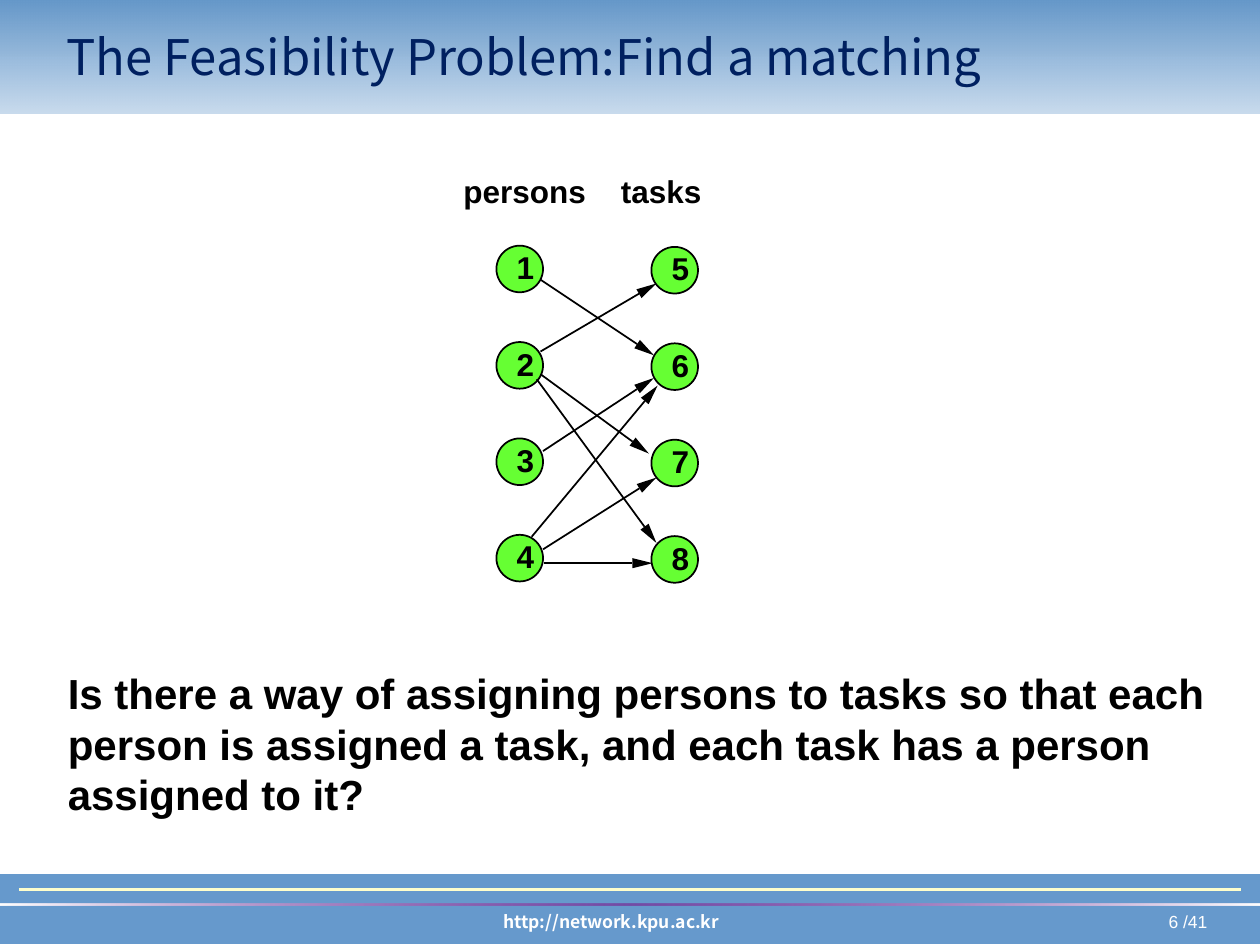
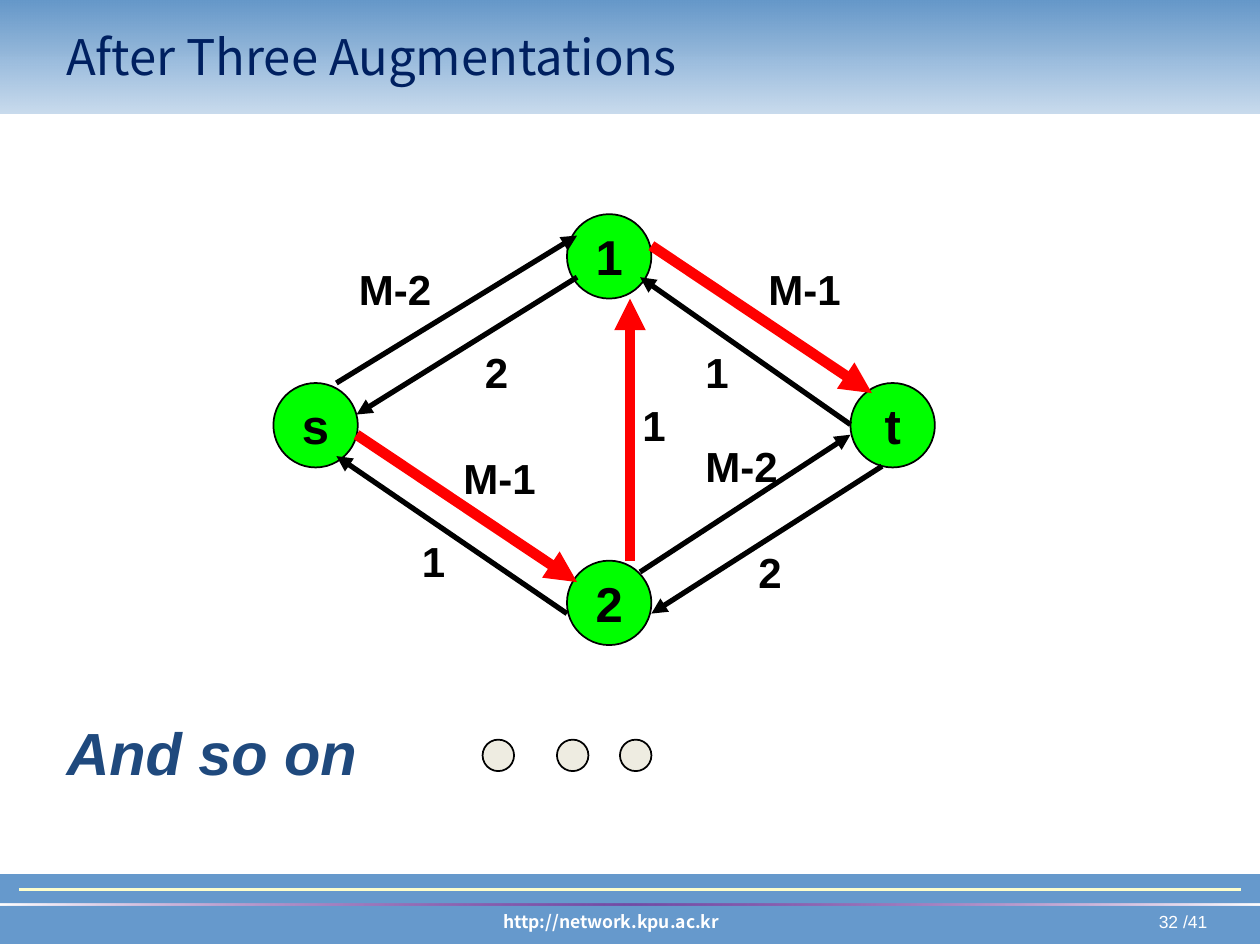
import math
import pptx
import pptx.util
import pptx.dml.color
import pptx.enum.shapes
import pptx.enum.text
import pptx.oxml
import pptx.oxml.ns

Inches = pptx.util.Inches
Pt = pptx.util.Pt
SHAPE = pptx.enum.shapes.MSO_SHAPE
ALIGN = pptx.enum.text.PP_ALIGN
ANCHOR = pptx.enum.text.MSO_ANCHOR

# Shared look
SANS, HEAD = "Arial", "Noto Sans CJK KR"
BLACK, WHITE, RED = "000000", "FFFFFF", "FF0000"
BLUE, NAVY, CREAM = "6699CC", "002060", "FFFFCC"
LIME, GREEN, SAND, INK = "66FF33", "00FF00", "EEECE1", "1F497D"
LAST = 41


def color(code):
    return pptx.dml.color.RGBColor.from_string(code)


def style(frame, words, size, code, font=SANS, bold=True, slant=False,
          align=ALIGN.LEFT, anchor=ANCHOR.TOP, wrap=True):
    """Fill a text frame with one formatted paragraph."""
    frame.text = words
    frame.word_wrap = wrap
    frame.vertical_anchor = anchor
    para = frame.paragraphs[0]
    para.alignment = align
    for run in para.runs:
        run.font.size = Pt(size)
        run.font.name = font
        run.font.bold = bold
        run.font.italic = slant
        run.font.color.rgb = color(code)
        for tag in ("a:ea", "a:cs"):
            face = run.font._element.makeelement(
                pptx.oxml.ns.qn(tag), {"typeface": font})
            run.font._element.append(face)


def label(slide, box, words, size, code=BLACK, inset=True, **look):
    text = slide.shapes.add_textbox(*map(Inches, box))
    frame = text.text_frame
    if not inset:
        frame.margin_left = frame.margin_right = 0
        frame.margin_top = frame.margin_bottom = 0
    style(frame, words, size, code, **look)


def solid(slide, kind, box, fill, edge=None, width=1):
    shape = slide.shapes.add_shape(kind, *map(Inches, box))
    shape.shadow.inherit = False
    shape.fill.solid()
    shape.fill.fore_color.rgb = color(fill)
    if edge:
        shape.line.color.rgb = color(edge)
        shape.line.width = Pt(width)
    else:
        shape.line.fill.background()
    return shape


def blend(slide, box, stops, angle):
    """Draw a gradient band; each stop is (place, colour, opacity)."""
    shape = solid(slide, SHAPE.RECTANGLE, box, WHITE)
    marks = "".join(
        f'<a:gs pos="{place * 1000}"><a:srgbClr val="{code}">'
        f'<a:alpha val="{alpha * 1000}"/></a:srgbClr></a:gs>'
        for place, code, alpha in stops)
    grad = pptx.oxml.parse_xml(
        f'<a:gradFill {pptx.oxml.ns.nsdecls("a")} rotWithShape="1">'
        f'<a:gsLst>{marks}</a:gsLst>'
        f'<a:lin ang="{angle * 60000}" scaled="0"/></a:gradFill>')
    props = shape._element.spPr
    props.replace(props.find(pptx.oxml.ns.qn("a:solidFill")), grad)


def link(slide, start, end, code=BLACK, width=1, arrow=False):
    line = slide.shapes.add_connector(
        pptx.enum.shapes.MSO_CONNECTOR.STRAIGHT,
        *map(Inches, (*start, *end)))
    line.line.color.rgb = color(code)
    line.line.width = Pt(width)
    space = pptx.oxml.ns.nsdecls("a")
    if arrow:
        line.line._get_or_add_ln().append(
            pptx.oxml.parse_xml(f'<a:tailEnd {space} type="triangle"/>'))
    line._element.spPr.append(pptx.oxml.parse_xml(f"<a:effectLst {space}/>"))


def dart(slide, start, tip, size=0.16, half=0.04):
    """Draw a thin line that ends in a long filled head."""
    angle = math.atan2(tip[1] - start[1], tip[0] - start[0])
    ux, uy = math.cos(angle), math.sin(angle)
    base = tip[0] - size * ux, tip[1] - size * uy
    link(slide, start, base)
    wings = [(base[0] - side * uy, base[1] + side * ux)
             for side in (half, -half)]
    pen = slide.shapes.build_freeform(
        *map(Inches, tip), scale=1.0)
    pen.add_line_segments([(Inches(x), Inches(y)) for x, y in wings])
    head = pen.convert_to_shape()
    head.shadow.inherit = False
    head.fill.solid()
    head.fill.fore_color.rgb = color(BLACK)
    head.line.fill.background()


def frame(deck, title, page):
    """Start a slide with the bands, footer and title."""
    slide = deck.slides.add_slide(deck.slide_layouts[6])
    solid(slide, SHAPE.RECTANGLE, (0, 6.94, 10, 0.55), BLUE, BLUE, 0.75)
    label(slide, (7.42, 7.18, 2.26, 0.27), f"{page} /{LAST}", 10, WHITE,
          bold=False, align=ALIGN.RIGHT)
    label(slide, (2.27, 7.18, 5.16, 0.27), "http://network.kpu.ac.kr", 10,
          WHITE, font=HEAD, align=ALIGN.CENTER)
    link(slide, (0.15, 7.06), (9.85, 7.06), CREAM, 1.5)
    blend(slide, (0, 0, 10, 0.9), [(0, BLUE, 35), (100, "6497C9", 100)], 270)
    blend(slide, (0, 7.17, 10, 0.02),
          [(0, WHITE, 100), (50, "800080", 50), (100, WHITE, 100)], 0)
    label(slide, (0.43, 0.05, 9.29, 0.79), title, 28, NAVY, font=HEAD,
          bold=False, anchor=ANCHOR.MIDDLE)
    return slide


def match(deck):
    slide = frame(deck, "The Feasibility Problem:Find a matching", 6)
    label(slide, (0.44, 5.25, 9.33, 1.3),
          "Is there a way of assigning persons to tasks so that each person "
          "is assigned a task, and each task has a person assigned to it?", 24)

    # Two columns of nodes
    columns = [("persons", 3.58, 1.25, 3.94, 1.95),
               ("tasks", 4.83, 1.08, 5.17, 1.96)]
    for col, (name, left, width, x, top) in enumerate(columns):
        label(slide, (left, 1.32, width, 0.4), name, 18)
        for row in range(4):
            y = top + 0.765 * row
            solid(slide, SHAPE.OVAL, (x, y, 0.37, 0.37), LIME, BLACK)
            label(slide, (x + 0.16, y + 0.02, 0.14, 0.3),
                  str(4 * col + row + 1), 18, inset=False, wrap=False)

    # Allowed pairs
    for start, tip in [((4.29, 2.22), (5.19, 2.82)),
                       ((4.29, 2.97), (5.15, 3.6)),
                       ((4.26, 3.01), (5.21, 4.31)),
                       ((4.22, 4.26), (5.22, 3.06)),
                       ((4.31, 4.36), (5.21, 3.79)),
                       ((4.29, 2.79), (5.21, 2.25)),
                       ((4.31, 3.58), (5.19, 3)),
                       ((4.32, 4.47), (5.18, 4.47))]:
        dart(slide, start, tip)


def augment(deck):
    slide = frame(deck, "After Three Augmentations", 32)

    # Nodes
    for name, x, y in [("s", 2.17, 3.04), ("1", 4.5, 1.7),
                       ("2", 4.5, 4.45), ("t", 6.75, 3.04)]:
        node = solid(slide, SHAPE.OVAL, (x, y, 0.67, 0.67), GREEN, BLACK)
        style(node.text_frame, name, 28, BLACK, align=ALIGN.CENTER,
              anchor=ANCHOR.MIDDLE, wrap=False)

    # Residual arcs, then the path in red
    thin = [((2.67, 3.04), (4.58, 1.87)), ((5.08, 4.54), (6.75, 3.45)),
            ((7, 3.7), (5.17, 4.87)), ((4.58, 2.2), (2.83, 3.29)),
            ((4.5, 4.87), (2.67, 3.62)), ((6.75, 3.37), (5.08, 2.2))]
    bold = [((5.17, 1.95), (6.92, 3.12)), ((2.83, 3.45), (4.58, 4.62)),
            ((5, 4.45), (5, 2.37))]
    for arcs, code, width in [(thin, BLACK, 3), (bold, RED, 6)]:
        for start, end in arcs:
            link(slide, start, end, code, width, arrow=True)

    # Capacities
    for words, x, y in [("M-2", 2.75, 2.04), ("M-1", 6, 2.04),
                        ("M-2", 5.5, 3.45), ("M-1", 3.58, 3.54),
                        ("1", 5, 3.12), ("2", 3.75, 2.7), ("2", 5.92, 4.29),
                        ("1", 5.5, 2.7), ("1", 3.25, 4.2)]:
        width = 1 if len(words) > 1 else 0.58
        label(slide, (x, y, width, 0.5), words, 24)

    # Closing line with three dots
    label(slide, (0.43, 5.01, 9.29, 1.29), "And so on", 34, INK, slant=True,
          anchor=ANCHOR.BOTTOM)
    for x in (3.83, 4.42, 4.92):
        solid(slide, SHAPE.OVAL, (x, 5.87, 0.25, 0.25), SAND, BLACK)


def main():
    deck = pptx.Presentation()
    deck.slide_width, deck.slide_height = Inches(10), Inches(7.5)
    match(deck)
    augment(deck)
    deck.save("out.pptx")


if __name__ == "__main__":
    main()
